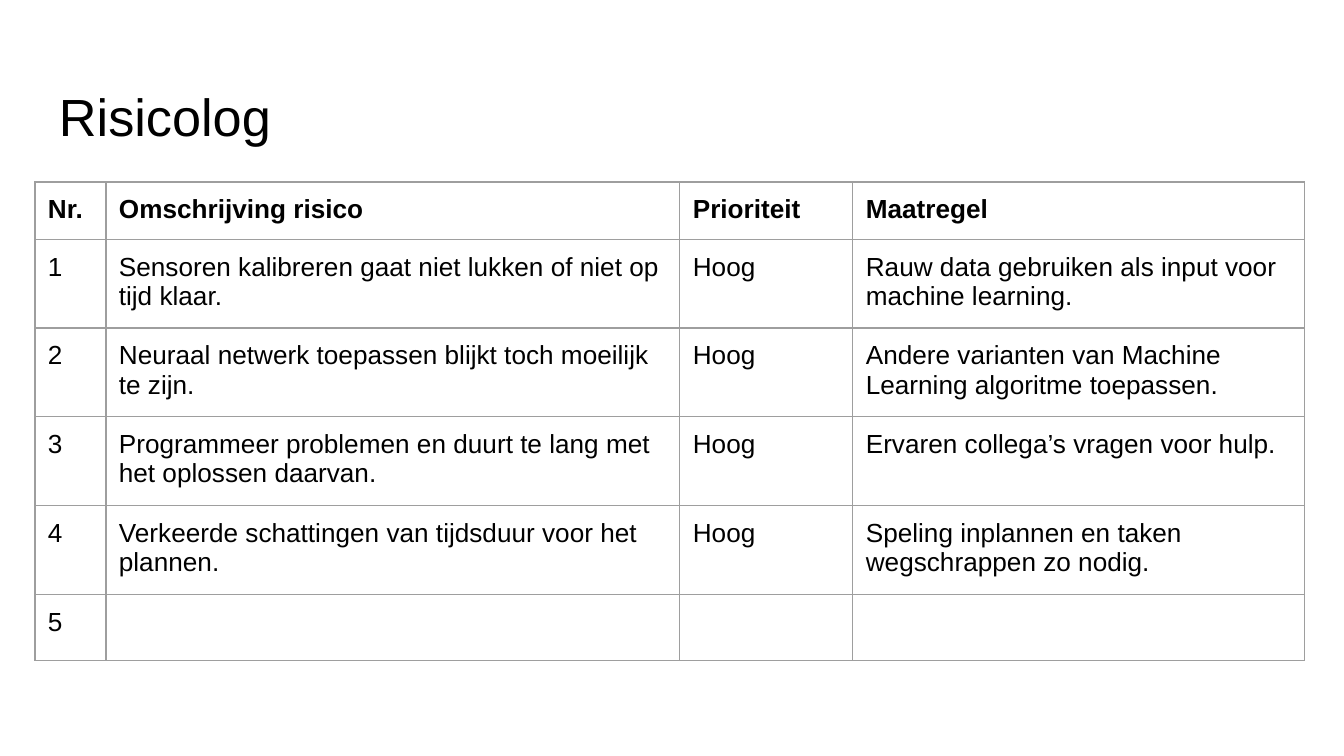
from lxml import etree
from pptx import Presentation
from pptx.dml.color import RGBColor
from pptx.enum.text import MSO_ANCHOR
from pptx.oxml.ns import qn
from pptx.util import Pt

TOP = MSO_ANCHOR.TOP
PX = 914400 / 134.4
FONT = "Arial"
COLORS = {"text": "000000", "border": "9E9E9E"}
BORDER_PT = 0.75
PAD = 13

COLUMNS = [71, 574, 173, 452]
ROW_HEIGHT = 57
RISKS = [
    ["Nr.", "Omschrijving risico", "Prioriteit", "Maatregel"],
    ["1", "Sensoren kalibreren gaat niet lukken of niet op tijd klaar.",
     "Hoog", "Rauw data gebruiken als input voor machine learning."],
    ["2", "Neuraal netwerk toepassen blijkt toch moeilijk te zijn.",
     "Hoog", "Andere varianten van Machine Learning algoritme toepassen."],
    ["3", "Programmeer problemen en duurt te lang met het oplossen daarvan.",
     "Hoog", "Ervaren collega’s vragen voor hulp."],
    ["4", "Verkeerde schattingen van tijdsduur voor het plannen.",
     "Hoog", "Speling inplannen en taken wegschrappen zo nodig."],
    ["5", "", "", ""],
]


def px(n):
    return round(n * PX)


def add_run(p, text, size, bold=False):
    r = p.add_run()
    r.text = text
    r.font.name = FONT
    r.font.size = Pt(size)
    r.font.bold = bold
    r.font.color.rgb = RGBColor.from_string(COLORS["text"])


def set_borders(cell):
    tcPr = cell._tc.get_or_add_tcPr()
    # Border lines come before the fill in the cell properties
    for i, side in enumerate(("a:lnL", "a:lnR", "a:lnT", "a:lnB")):
        ln = etree.Element(qn(side), w=str(Pt(BORDER_PT)))
        fill = etree.SubElement(ln, qn("a:solidFill"))
        etree.SubElement(fill, qn("a:srgbClr"), val=COLORS["border"])
        tcPr.insert(i, ln)


def add_title(s, x, y, w, h):
    tf = s.shapes.add_textbox(px(x), px(y), px(w), px(h)).text_frame
    tf.word_wrap = True
    tf.vertical_anchor = TOP
    tf.margin_left = tf.margin_right = px(PAD)
    tf.margin_top, tf.margin_bottom = px(18), 0
    add_run(tf.paragraphs[0], "Risicolog", 28)


def add_risk_table(s, x, y):
    table = s.shapes.add_table(
        len(RISKS), len(COLUMNS), px(x), px(y),
        px(sum(COLUMNS)), px(ROW_HEIGHT * len(RISKS))).table
    table.first_row = table.horz_banding = False
    for column, width in zip(table.columns, COLUMNS):
        column.width = px(width)

    for i, values in enumerate(RISKS):
        table.rows[i].height = px(ROW_HEIGHT)
        for j, text in enumerate(values):
            cell = table.cell(i, j)
            cell.fill.background()
            cell.vertical_anchor = TOP
            cell.margin_left = cell.margin_right = px(PAD)
            cell.margin_top = cell.margin_bottom = px(PAD)
            set_borders(cell)
            if text:
                add_run(cell.text_frame.paragraphs[0], text, 14, bold=i == 0)


def main():
    prs = Presentation()
    prs.slide_width, prs.slide_height = px(1344), px(756)
    s = prs.slides.add_slide(prs.slide_layouts[6])
    add_title(s, 46, 66, 1252, 85)
    add_risk_table(s, 35, 182)
    prs.save("out.pptx")


if __name__ == "__main__":
    main()
